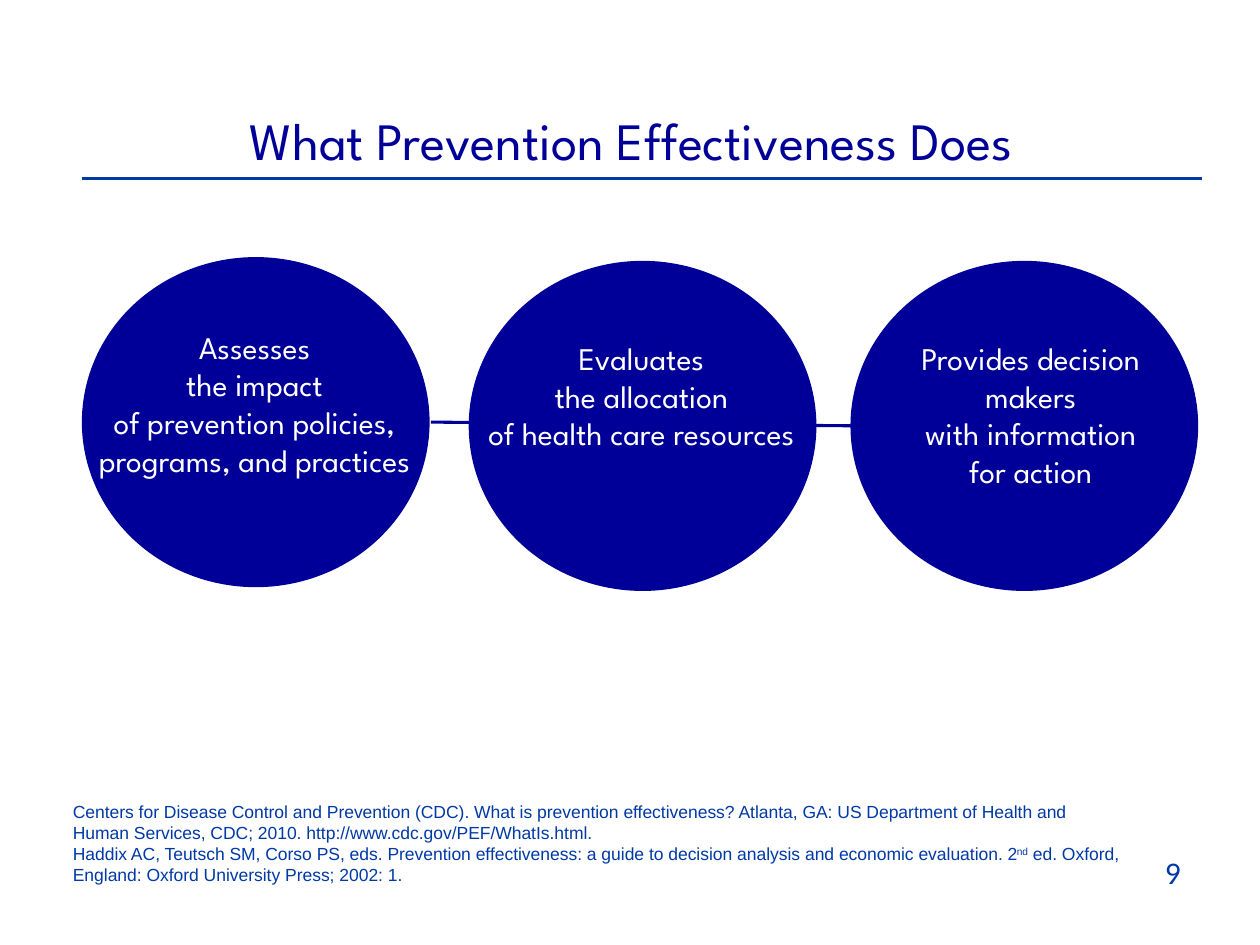
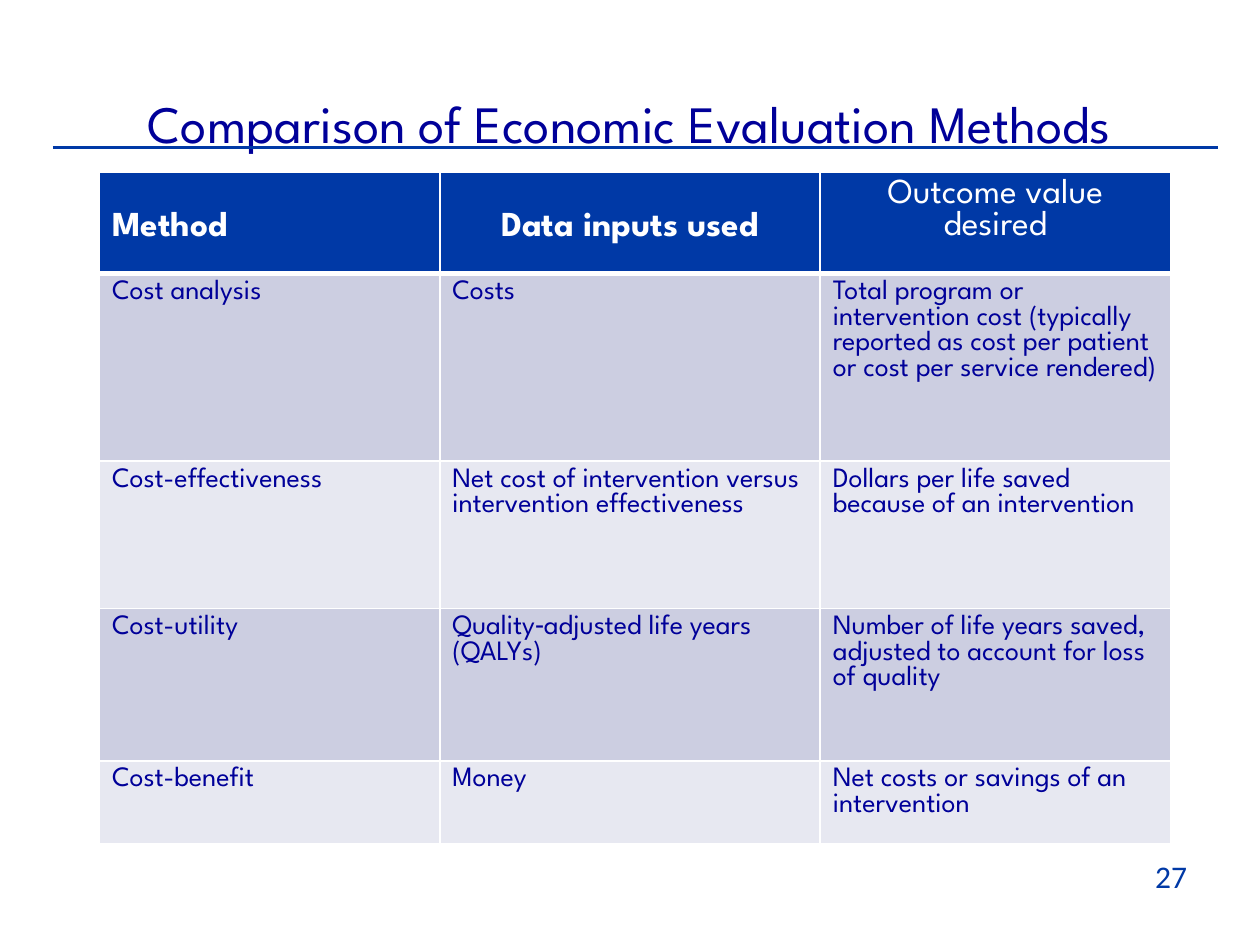
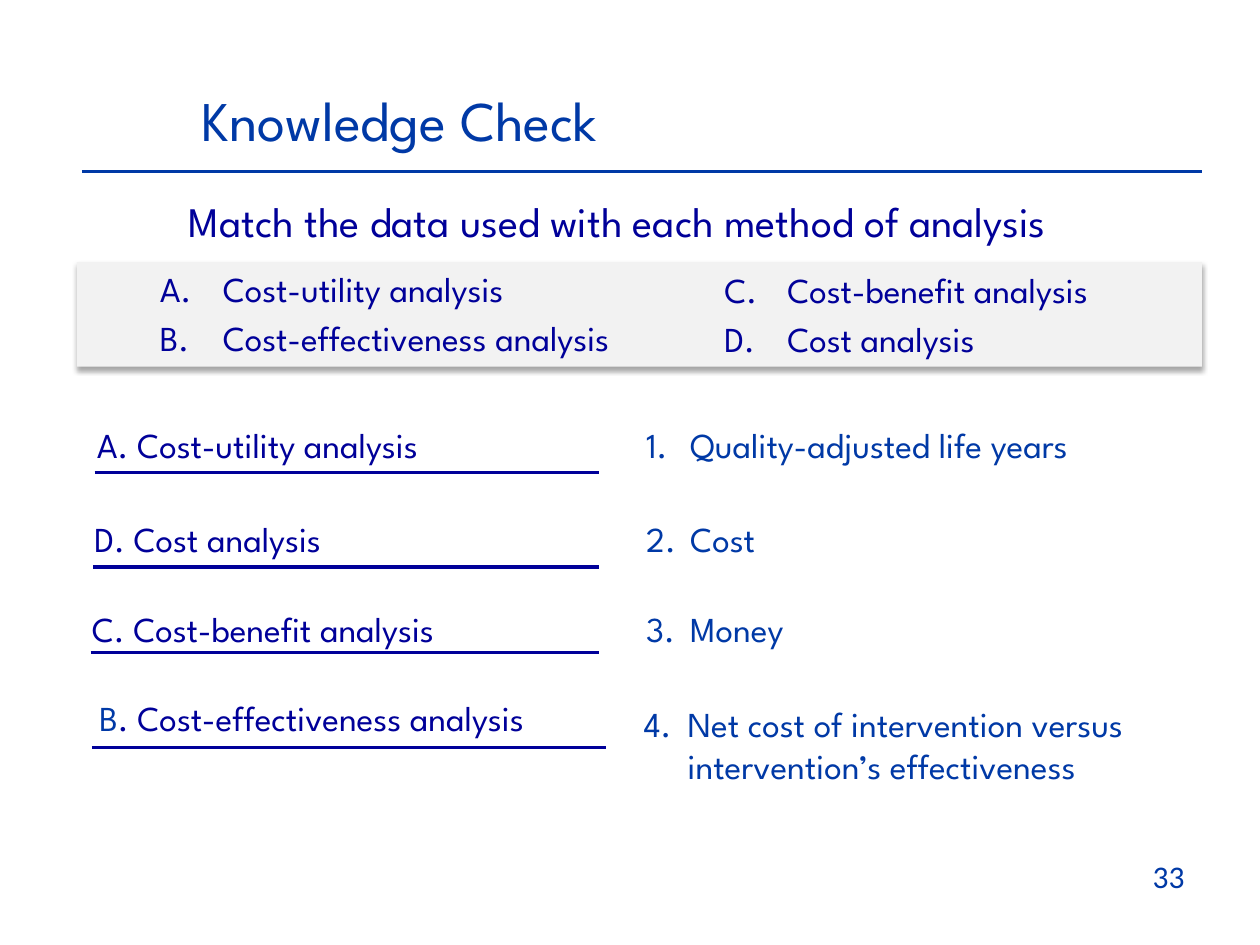
from lxml.etree import SubElement
from pptx import Presentation
from pptx.dml.color import RGBColor
from pptx.enum.shapes import MSO_CONNECTOR, MSO_SHAPE
from pptx.enum.text import MSO_ANCHOR, MSO_AUTO_SIZE, PP_ALIGN
from pptx.oxml.ns import qn
from pptx.util import Inches, Pt

NAVY, BLUE, WHITE = "000099", "0039A6", "FFFFFF"
LEFT, CENTER, RIGHT = PP_ALIGN.LEFT, PP_ALIGN.CENTER, PP_ALIGN.RIGHT
rgb = RGBColor.from_string


def write(frame, paragraphs, size, colour, align=LEFT, font="League Spartan", pitch=1.2):
    frame.word_wrap = True
    for index, runs in enumerate(paragraphs):
        paragraph = frame.add_paragraph() if index else frame.paragraphs[0]
        paragraph.alignment = align
        paragraph.line_spacing = Pt(size * pitch)
        paragraph.space_before = Pt(0)
        for text in runs:
            for number, line in enumerate(text.split("\n")):
                if number:
                    paragraph.add_line_break()
                run = paragraph.add_run()
                run.text = line
                run.font.size = Pt(size)
                run.font.name = font
                run.font.color.rgb = rgb(colour)
    return frame.paragraphs


def draw_line(slide, x1, y1, x2, y2, colour):
    line = slide.shapes.add_connector(MSO_CONNECTOR.STRAIGHT, *map(Inches, (x1, y1, x2, y2)))
    line.line.color.rgb = rgb(colour)
    line.line.width = Pt(1.75)
    SubElement(line._element.spPr, qn("a:effectLst"))


prs = Presentation()
prs.slide_width, prs.slide_height = Inches(10), Inches(7.5)

frames = [
    (5, "What Prevention Effectiveness Does", (0.61, 0.81, 8.8, 0.61), 30, NAVY, CENTER,
     (0.65, 9.54, 1.42), "9", (7.14, 6.72)),
    (5, "Comparison of Economic Evaluation Methods", (0.28, 0.67, 9.44, 0.61), 30, NAVY, CENTER,
     (0.42, 9.67, 1.17), "27", (7.19, 6.75)),
    (1, "Knowledge Check", (1.5, 0.63, 4.25, 0.64), 32, BLUE, LEFT,
     (0.65, 9.54, 1.36), "33", (7.17, 6.75)),
]
for layout, heading, place, size, colour, align, rule, page, corner in frames:
    slide = prs.slides.add_slide(prs.slide_layouts[layout])
    title = slide.shapes.title
    title.left, title.top, title.width, title.height = map(Inches, place)
    title.text_frame.vertical_anchor = MSO_ANCHOR.TOP
    title.text_frame.auto_size = MSO_AUTO_SIZE.NONE
    write(title.text_frame, [[heading]], size, colour, align)
    start, end, level = rule
    draw_line(slide, start, level, end, level, BLUE)
    page_number = slide.shapes.add_textbox(*map(Inches, (*corner, 2.33, 0.52)))
    write(page_number.text_frame, [[page]], 18, BLUE, RIGHT, "Calibri")

does, comparison, check = prs.slides

draw_line(does, 3.42, 3.35, 6.83, 3.38, NAVY)
purposes = [
    (0.65, 2.04, 0.68, 2.55, "Assesses\nthe impact\nof prevention policies, programs, and practices"),
    (3.72, 2.07, 3.75, 2.64, "Evaluates\nthe allocation\nof health care resources"),
    (6.75, 2.07, 6.84, 2.64, "Provides decision makers\nwith information\nfor action"),
]
for left, top, text_left, text_top, purpose in purposes:
    circle = does.shapes.add_shape(MSO_SHAPE.OVAL, *map(Inches, (left, top, 2.76, 2.62)))
    circle.shadow.inherit = False
    circle.fill.solid()
    circle.fill.fore_color.rgb = rgb(NAVY)
    circle.line.fill.background()
    caption = does.shapes.add_textbox(*map(Inches, (text_left, text_top, 2.68, 1.62)))
    write(caption.text_frame, [[purpose]], 18, WHITE, CENTER)

citations = [
    ["Centers for Disease Control and Prevention (CDC). What is prevention effectiveness? "
     "Atlanta, GA: US Department of Health and Human Services, CDC; 2010. "
     "http://www.cdc.gov/PEF/WhatIs.html."],
    ["Haddix AC, Teutsch SM, Corso PS, eds. Prevention effectiveness: a guide to decision "
     "analysis and economic evaluation. 2", "nd",
     " ed. Oxford, England: Oxford University Press; 2002: 1."],
]
sources = does.shapes.add_textbox(*map(Inches, (0.48, 6.31, 8.52, 0.77)))
cited = write(sources.text_frame, citations, 10, BLUE, font="Arial")
cited[1].runs[1]._r.get_or_add_rPr().set("baseline", "30000")

methods = [
    ("Method", "Data inputs used", "Outcome value desired"),
    ("Cost analysis", "Costs",
     "Total program or intervention cost (typically reported as cost per patient "
     "or cost per service rendered)"),
    ("Cost-effectiveness", "Net cost of intervention versus intervention effectiveness",
     "Dollars per life saved because of an intervention"),
    ("Cost-utility", "Quality‐adjusted life years (QALYs)",
     "Number of life years saved, adjusted to account for loss of quality"),
    ("Cost-benefit", "Money", "Net costs or savings of an intervention"),
]
table = comparison.shapes.add_table(5, 3, *map(Inches, (0.79, 1.37, 8.5, 5.33))).table
for column, width in zip(table.columns, (2.7, 3.02, 2.78)):
    column.width = Inches(width)
for row, height in zip(table.rows, (0.8, 1.49, 1.17, 1.21, 0.66)):
    row.height = Inches(height)
for r, method in enumerate(methods):
    for c, text in enumerate(method):
        cell = table.cell(r, c)
        header = r == 0
        paragraphs = write(cell.text_frame, [[text]], 20 if header else 16,
                           WHITE if header else NAVY,
                           CENTER if header and c else LEFT, pitch=0.92)
        paragraphs[0].runs[0].font.bold = header and c < 2
        if header and c < 2:
            cell.margin_top = Inches(0.31)
        properties = cell._tc.get_or_add_tcPr()
        for side in ("lnL", "lnR", "lnT", "lnB"):
            thick = (side == "lnB" and r == 0) or (side == "lnT" and r == 1)
            border = SubElement(properties, qn(f"a:{side}"), w=str(Pt(3 if thick else 1)))
            SubElement(SubElement(border, qn("a:solidFill")), qn("a:srgbClr"), val=WHITE)
        cell.fill.solid()
        cell.fill.fore_color.rgb = rgb(BLUE if header else ("E7E8F1", "CCCEE1")[r % 2])

task = check.placeholders[1]
task.left, task.top, task.width, task.height = map(Inches, (0.46, 1.5, 8.88, 0.75))
task.text_frame.auto_size = MSO_AUTO_SIZE.NONE
instruction = write(task.text_frame, [["Match the data used with each method of analysis"]],
                    24, NAVY, CENTER)[0]
plain = instruction._p.get_or_add_pPr()
plain.set("marL", "0")
plain.set("indent", "0")
SubElement(plain, qn("a:buNone"))

choices = check.shapes.add_shape(MSO_SHAPE.RECTANGLE, *map(Inches, (0.61, 2.08, 8.93, 0.83)))
choices.shadow.inherit = False
choices.fill.solid()
choices.fill.fore_color.rgb = rgb("F2F2F2")
choices.line.fill.background()
shadow = SubElement(choices._element.spPr.find(qn("a:effectLst")), qn("a:outerShdw"),
                    blurRad=str(Pt(3.1)), dist=str(Pt(1.8)), dir="5400000", rotWithShape="0")
SubElement(SubElement(shadow, qn("a:srgbClr"), val="000000"), qn("a:alpha"), val="35000")

options = [
    (1.17, 2.07, 4.48, 1, ("Cost-utility analysis", "Cost-effectiveness analysis")),
    (5.65, 2.08, 3.89, 3, ("Cost-benefit analysis", "Cost analysis")),
]
for left, top, width, first, names in options:
    option = check.shapes.add_textbox(*map(Inches, (left, top, width, 0.84)))
    lettered = write(option.text_frame, [[name] for name in names], 20, NAVY)
    for paragraph in lettered:
        indent = paragraph._p.get_or_add_pPr()
        indent.set("marL", str(Inches(0.5)))
        indent.set("indent", str(Inches(-0.5)))
        SubElement(indent, qn("a:buAutoNum"), type="alphaUcPeriod", startAt=str(first))
    lettered[1].space_before = Pt(4)

answers = [
    (0.67, 3.31, ["A. Cost-utility analysis"], (0.75, 4.75, 3.75)),
    (0.65, 4.06, ["D. Cost analysis"], (0.74, 4.75, 4.5)),
    (0.63, 4.77, ["C. Cost-benefit analysis"], (0.72, 4.75, 5.18)),
    (0.69, 5.48, ["B", ". Cost-effectiveness analysis"], (0.73, 4.81, 5.93)),
]
for left, top, runs, (start, end, level) in answers:
    draw_line(check, start, level, end, level, NAVY)
    answer = check.shapes.add_textbox(*map(Inches, (left, top, 4.12, 0.44)))
    answered = write(answer.text_frame, [runs], 20, NAVY)
answered[0].runs[0].font.color.rgb = rgb(BLUE)

data_used = [
    (5.03, 3.31, 0.44, ["1.\tQuality-adjusted life years"]),
    (5.03, 4.06, 0.44, ["2.\tCost"]),
    (5.03, 4.77, 0.44, ["3.\tMoney"]),
    (5.01, 5.53, 0.77, ["4.\tNet cost of intervention versus", "intervention’s effectiveness"]),
]
for left, top, height, lines in data_used:
    data = check.shapes.add_textbox(*map(Inches, (left, top, 4.74, height)))
    for line, paragraph in zip(lines, write(data.text_frame, [[line] for line in lines], 20, BLUE)):
        indent = paragraph._p.get_or_add_pPr()
        indent.set("marL", str(Inches(0.35)))
        indent.set("indent", str(Inches(-0.35 if "\t" in line else 0)))

prs.save("out.pptx")
